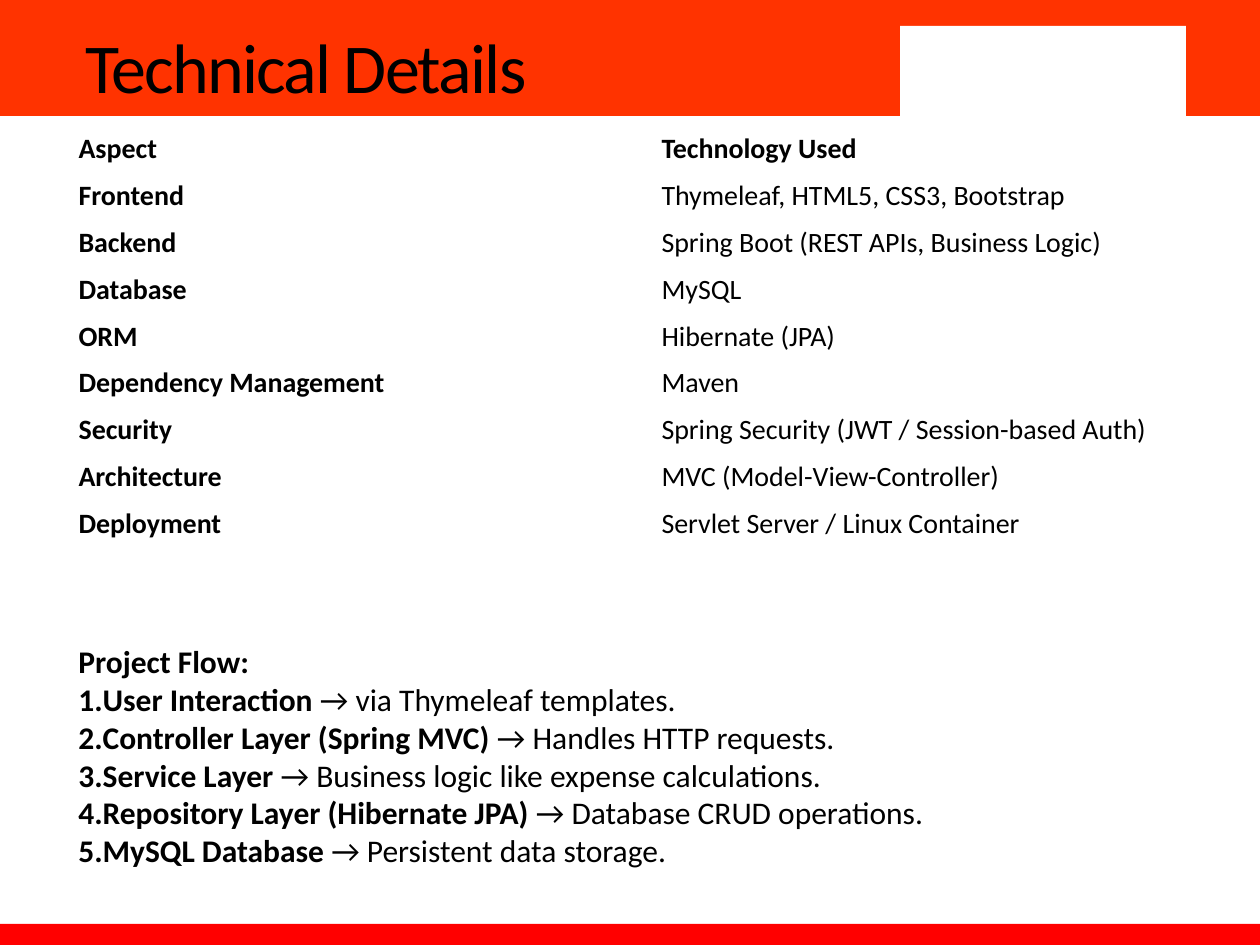
import typing
import pptx
import pptx.dml.color
import pptx.enum.shapes
import pptx.enum.text
import pptx.oxml
import pptx.util

SCALE = pptx.util.Inches(1) // 126
FONT = "Calibri"
COLORS = {"header": "FF3300", "footer": "FF0000", "panel": "FFFFFF", "text": "000000"}


class Band(typing.NamedTuple):
    x: int
    y: int
    w: int
    h: int
    color: str


class Aspect(typing.NamedTuple):
    name: str
    technology: str


class Step(typing.NamedTuple):
    layer: str
    role: str


BANDS = [
    Band(0, 0, 1260, 116, "header"),
    Band(0, 924, 1260, 21, "footer"),
    Band(900, 26, 286, 95, "panel"),
]
ASPECTS = [
    Aspect("Aspect", "Technology Used"),
    Aspect("Frontend", "Thymeleaf, HTML5, CSS3, Bootstrap"),
    Aspect("Backend", "Spring Boot (REST APIs, Business Logic)"),
    Aspect("Database", "MySQL"),
    Aspect("ORM", "Hibernate (JPA)"),
    Aspect("Dependency Management", "Maven"),
    Aspect("Security", "Spring Security (JWT / Session-based Auth)"),
    Aspect("Architecture", "MVC (Model-View-Controller)"),
    Aspect("Deployment", "Servlet Server / Linux Container"),
]
STEPS = [
    Step("User Interaction", "via Thymeleaf templates."),
    Step("Controller Layer (Spring MVC)", "Handles HTTP requests."),
    Step("Service Layer", "Business logic like expense calculations."),
    Step("Repository Layer (Hibernate JPA)", "Database CRUD operations."),
    Step("MySQL Database", "Persistent data storage."),
]


def px(n: int) -> int:
    return n * SCALE


def rgb(name: str) -> pptx.dml.color.RGBColor:
    return pptx.dml.color.RGBColor.from_string(COLORS[name])


def set_font(p, size: int, bold: typing.Optional[bool] = None) -> None:
    p.font.name = FONT
    p.font.size = pptx.util.Pt(size)
    p.font.bold = bold
    p.font.color.rgb = rgb("text")


def draw_band(s, band: Band) -> None:
    sp = s.shapes.add_shape(
        pptx.enum.shapes.MSO_SHAPE.RECTANGLE,
        px(band.x), px(band.y), px(band.w), px(band.h),
    )
    sp.shadow.inherit = False
    sp.fill.solid()
    sp.fill.fore_color.rgb = rgb(band.color)
    sp.line.fill.background()


def draw_title(s, text: str) -> None:
    sp = s.shapes.title
    s.shapes._spTree.append(sp._element)
    sp.left, sp.top, sp.width, sp.height = px(35), px(15), px(611), px(96)
    tf = sp.text_frame
    tf.auto_size = pptx.enum.text.MSO_AUTO_SIZE.NONE
    tf.vertical_anchor = pptx.enum.text.MSO_ANCHOR.TOP
    tf.margin_left, tf.margin_top = px(50), px(9)
    tf.margin_right = tf.margin_bottom = 0
    p = tf.paragraphs[0]
    p.alignment = pptx.enum.text.PP_ALIGN.LEFT
    r = p.add_run()
    r.text = text
    r.font._element.set("spc", "-100")
    set_font(p, 40, False)


def draw_aspects(s, rows: list[Aspect]) -> None:
    table = s.shapes.add_table(
        len(rows), 2, px(66), px(125), px(1166), px(47 * len(rows))
    ).table
    table.first_row = table.horz_banding = False
    for i, row in enumerate(rows):
        for j, text in enumerate(row):
            cell = table.cell(i, j)
            cell.fill.background()
            cell.vertical_anchor = pptx.enum.text.MSO_ANCHOR.MIDDLE
            p = cell.text_frame.paragraphs[0]
            p.text = text
            set_font(p, 16, i == 0 or j == 0)


def draw_flow(s, heading: str, steps: list[Step]) -> None:
    sp = s.shapes.add_textbox(px(66), px(636), px(958), px(242))
    tf = sp.text_frame
    tf.word_wrap = True
    p = tf.paragraphs[0]
    p.text = heading
    set_font(p, 18, True)
    for step in steps:
        p = tf.add_paragraph()
        bullet = pptx.oxml.parse_xml(
            '<a:buAutoNum xmlns:a="http://schemas.openxmlformats.org/drawingml/2006/main"'
            ' type="arabicPeriod"/>'
        )
        p._p.get_or_add_pPr().append(bullet)
        for text, bold in ((step.layer, True), (f" → {step.role}", False)):
            r = p.add_run()
            r.text = text
            r.font.bold = bold
        set_font(p, 18)


def main() -> None:
    prs = pptx.Presentation()
    prs.slide_width, prs.slide_height = px(1260), px(945)
    s = prs.slides.add_slide(prs.slide_layouts[5])
    for band in BANDS:
        draw_band(s, band)
    draw_title(s, "Technical Details")
    draw_aspects(s, ASPECTS)
    draw_flow(s, "Project Flow:", STEPS)
    prs.save("out.pptx")


if __name__ == "__main__":
    main()
